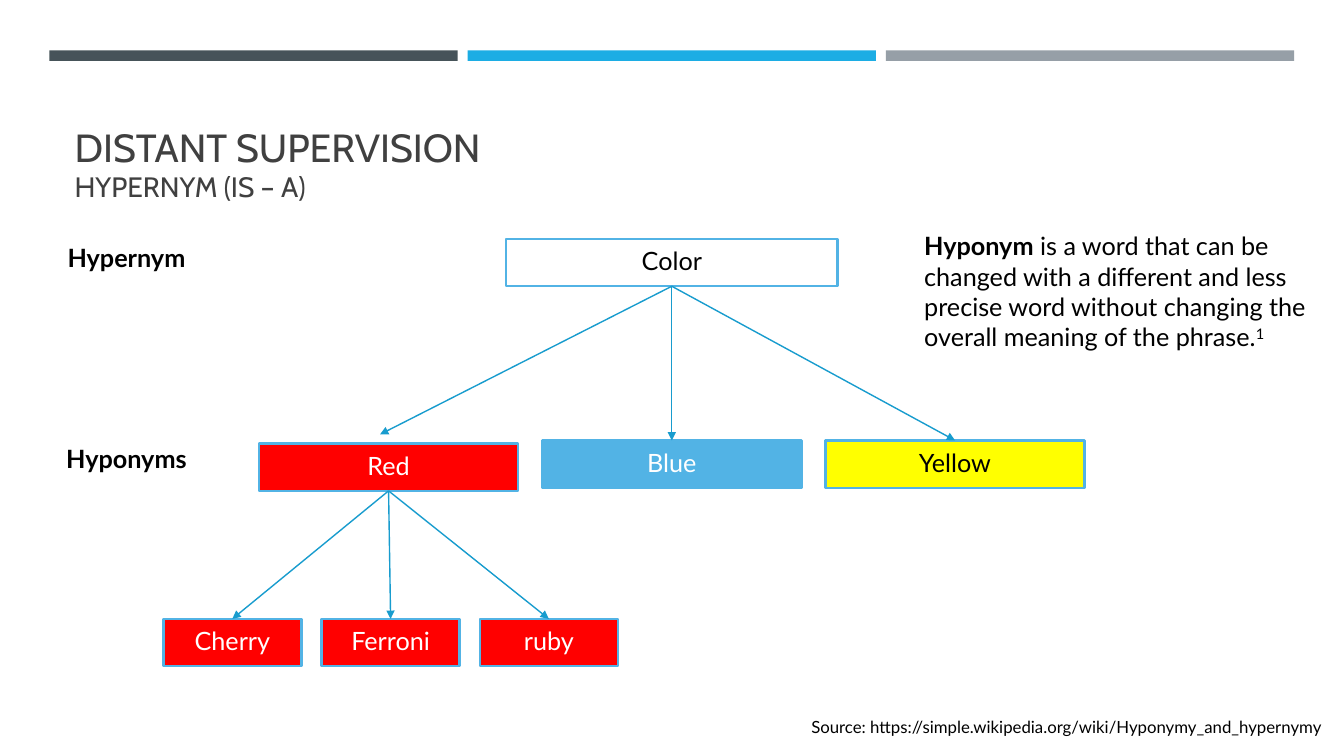
from pptx import Presentation
from pptx.dml.color import RGBColor
from pptx.enum.shapes import MSO_CONNECTOR as CONN, MSO_SHAPE as SHAPE
from pptx.enum.text import MSO_ANCHOR as ANCHOR, MSO_AUTO_SIZE as FIT, PP_ALIGN as ALIGN
from pptx.oxml.ns import qn
from pptx.util import Inches, Pt
from lxml.etree import SubElement

COLS, ROWS = 40, 30
TOP, BOTTOM = 0, 2
RED, BLUE, YELLOW = "FF0000", "52B3E5", "FFFF00"
WHITE, BLACK = "FFFFFF", "000000"


def rgb(value):
    return RGBColor.from_string(value)


class TreeSlide:
    """Holds the style and the slide; lengths are grid columns and rows."""

    title_font, body_font = "Cabin", "Lato"
    title_color, edge, arrow_color = "404040", BLUE, "189CCE"

    def __init__(self, prs):
        self.col = prs.slide_width / COLS
        self.row = prs.slide_height / ROWS
        self.slide = prs.slides.add_slide(prs.slide_layouts[5])

    def place(self, x, y, w, h):
        return (round(x * self.col), round(y * self.row),
                round(w * self.col), round(h * self.row))

    def run(self, p, text, size, color=BLACK, font=None, bold=False):
        r = p.add_run()
        r.text = text
        r.font.name = font or self.body_font
        r.font.size = Pt(size)
        r.font.bold = bold
        r.font.color.rgb = rgb(color)
        return r

    def title(self, heading, subheading, *at):
        sp = self.slide.shapes.title
        sp.left, sp.top, sp.width, sp.height = self.place(*at)
        tf = sp.text_frame
        tf.auto_size = FIT.NONE
        tf.vertical_anchor = ANCHOR.BOTTOM
        p = tf.paragraphs[0]
        p.alignment = ALIGN.LEFT
        self.run(p, heading, 28, self.title_color, self.title_font)
        p.add_line_break()
        self.run(p, subheading, 20, self.title_color, self.title_font)

    def rect(self, fill, *at):
        sp = self.slide.shapes.add_shape(SHAPE.RECTANGLE, *self.place(*at))
        sp.shadow.inherit = False
        if fill:
            sp.fill.solid()
            sp.fill.fore_color.rgb = rgb(fill)
        else:
            sp.fill.background()
        sp.line.fill.background()
        return sp

    def node(self, text, fill, color, *at):
        sp = self.rect(fill, *at)
        sp.line.color.rgb = rgb(self.edge)
        sp.line.width = Pt(1.75)
        tf = sp.text_frame
        tf.word_wrap = True
        tf.vertical_anchor = ANCHOR.MIDDLE
        tf.margin_left = tf.margin_right = tf.margin_top = tf.margin_bottom = Inches(0.15)
        p = tf.paragraphs[0]
        p.alignment = ALIGN.CENTER
        p.line_spacing = 0.9
        self.run(p, text, 18, color)
        return sp

    def arrow(self, parent, child, end=None):
        """Arrow from parent to child, or to a free point when end is given."""
        x, y, _, _ = self.place(*end, 0, 0) if end else (0, 0, 0, 0)
        c = self.slide.shapes.add_connector(CONN.STRAIGHT, 0, 0, x, y)
        c.begin_connect(parent, BOTTOM)
        if not end:
            c.end_connect(child, TOP)
        c.line.color.rgb = rgb(self.arrow_color)
        c.line.width = Pt(1)
        spPr = c._element.spPr
        SubElement(spPr.find(qn("a:ln")), qn("a:tailEnd"), type="triangle")
        SubElement(spPr, qn("a:effectLst"))

    def text(self, *at, align=ALIGN.LEFT):
        tf = self.slide.shapes.add_textbox(*self.place(*at)).text_frame
        tf.word_wrap = True
        p = tf.paragraphs[0]
        p.alignment = align
        return p


def main():
    prs = Presentation()
    prs.slide_width, prs.slide_height = Inches(13.33), Inches(7.5)
    s = TreeSlide(prs)

    # Header bars and title
    for i, color in enumerate(("465359", "1CADE4", "969FA7")):
        s.rect(color, 1.47 + 12.45 * i, 2, 12.15, 0.42)
    s.title("DISTANT SUPERVISION", "HYPERNYM (IS – A)", 1.92, 3.08, 36.18, 5.2)

    # Tree nodes, level by level
    root = s.node("Color", None, BLACK, 15.06, 9.48, 9.87, 1.88)
    colors = [
        s.node(text, fill, color, 7.71 + 8.43 * i, y, 7.71, 1.88)
        for i, (text, fill, color, y) in enumerate((
            ("Red", RED, WHITE, 17.6),
            ("Blue", BLUE, WHITE, 17.48),
            ("Yellow", YELLOW, BLACK, 17.48)))]
    shades = [
        s.node(text, RED, WHITE, 4.86 + 4.71 * i, 24.56, 4.11, 1.88)
        for i, text in enumerate(("Cherry", "Ferroni", "ruby"))]

    # Arrows; the one to Red stops short of its box
    s.arrow(root, colors[0], end=(11.31, 17.24))
    for child in colors[1:]:
        s.arrow(root, child)
    for child in shades:
        s.arrow(colors[0], child)

    # Level labels
    for label, y in (("Hypernym", 9.4), ("Hyponyms", 17.4)):
        s.run(s.text(1.23, y, 5.07, 1.6, align=ALIGN.CENTER), label, 18, bold=True)

    # Definition
    p = s.text(27.21, 8.96, 12.21, 5.24)
    s.run(p, "Hyponym", 18, bold=True)
    s.run(p, " is a word that can be changed with a different and less precise word "
             "without changing the overall meaning of the phrase.", 18)
    note = s.run(p, "1", 18)
    note._r.get_or_add_rPr().set("baseline", "30000")

    # Source
    s.run(s.text(23.85, 28.24, 16.1, 1.2),
          "Source: https://simple.wikipedia.org/wiki/Hyponymy_and_hypernymy", 12)

    prs.save("out.pptx")


if __name__ == "__main__":
    main()
